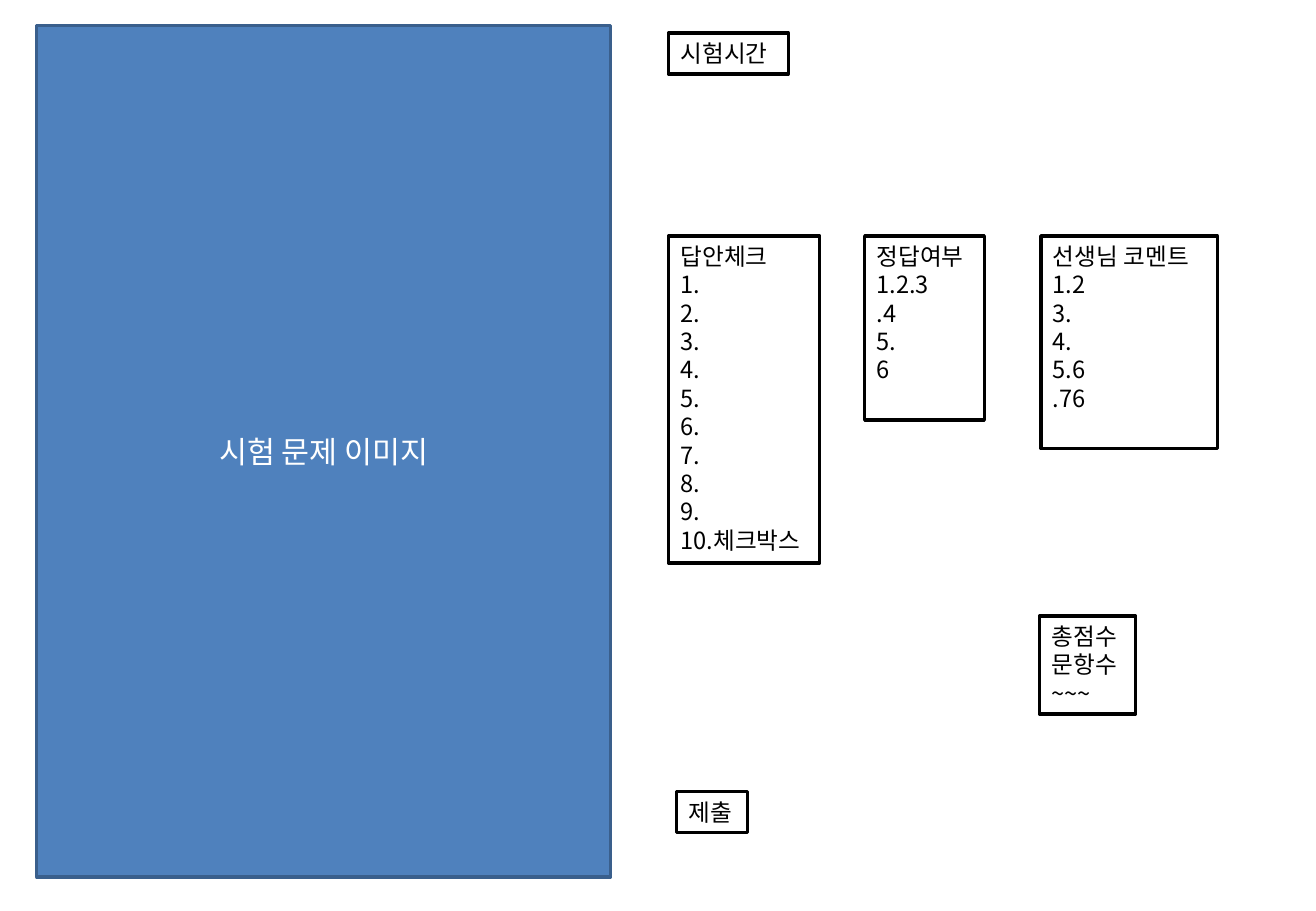
from pptx import Presentation
from pptx.dml.color import RGBColor
from pptx.enum.shapes import MSO_SHAPE
from pptx.enum.text import MSO_ANCHOR, PP_ALIGN
from pptx.oxml.ns import qn
from pptx.util import Inches, Pt

RECT = MSO_SHAPE.RECTANGLE
TOP, MIDDLE = MSO_ANCHOR.TOP, MSO_ANCHOR.MIDDLE
LEFT, CENTER = PP_ALIGN.LEFT, PP_ALIGN.CENTER

WHITE = RGBColor(0xFF, 0xFF, 0xFF)
BLACK = RGBColor(0, 0, 0)
BLUE = RGBColor(0x4F, 0x81, 0xBD)
NAVY = RGBColor(0x3A, 0x5F, 0x8C)
FONT = "Noto Sans CJK KR"

WIDE, HIGH = Inches(10.83), Inches(7.5)
ANSWER, RESULT, REMARK = 50.8, 65.7, 79.1
LIST_TOP = 25.9
PAD, ROW = 1.37, 3.14


def across(share):
    return round(WIDE * share / 100)


def down(share):
    return round(HIGH * share / 100)


def add_line(frame, first, text, size, color, align):
    para = frame.paragraphs[0] if first else frame.add_paragraph()
    para.alignment = align
    run = para.add_run()
    run.text = text
    font = run.font
    font.name, font.size = FONT, Pt(size)
    font.color.rgb = color
    east = font._element.makeelement(qn("a:ea"), {"typeface": FONT})
    font._element.find(qn("a:latin")).addnext(east)


def add_panel(slide, left, top, width, height, lines, fill=WHITE, edge=BLACK,
              ink=BLACK, size=14, align=LEFT, anchor=TOP):
    panel = slide.shapes.add_shape(
        RECT, across(left), down(top), across(width), down(height))
    panel.shadow.inherit = False
    panel.fill.solid()
    panel.fill.fore_color.rgb = fill
    panel.line.color.rgb = edge
    panel.line.width = Pt(2)
    frame = panel.text_frame
    frame.word_wrap = True
    frame.vertical_anchor = anchor
    if align == LEFT:
        frame.margin_right = 0
    for index, text in enumerate(lines):
        add_line(frame, index == 0, text, size, ink, align)


def add_box(slide, left, top, width, rows, lines):
    add_panel(slide, left, top, width, PAD + ROW * rows, lines)


def main():
    deck = Presentation()
    deck.slide_width, deck.slide_height = WIDE, HIGH
    slide = deck.slides.add_slide(deck.slide_layouts[6])

    add_panel(slide, 2.8, 2.8, 43.6, 93.5, ["시험 문제 이미지"],
              BLUE, NAVY, WHITE, 18, CENTER, MIDDLE)

    checks = [f"{number}." for number in range(1, 10)]
    add_box(slide, ANSWER, 3.6, 9.1, 1, ["시험시간"])
    add_box(slide, ANSWER, LIST_TOP, 11.5, 11,
            ["답안체크", *checks, "10.체크박스"])
    add_box(slide, 51.4, 86.9, 5.4, 1, ["제출"])
    add_box(slide, RESULT, LIST_TOP, 9.1, 6,
            ["정답여부", "1.2.3", ".4", "5.", "6"])
    add_box(slide, 79, 67.6, 7.3, 3, ["총점수", "문항수", "~~~"])
    add_box(slide, REMARK, LIST_TOP, 13.4, 7,
            ["선생님 코멘트", "1.2", "3.", "4.", "5.6", ".76"])

    deck.save("out.pptx")


if __name__ == "__main__":
    main()
